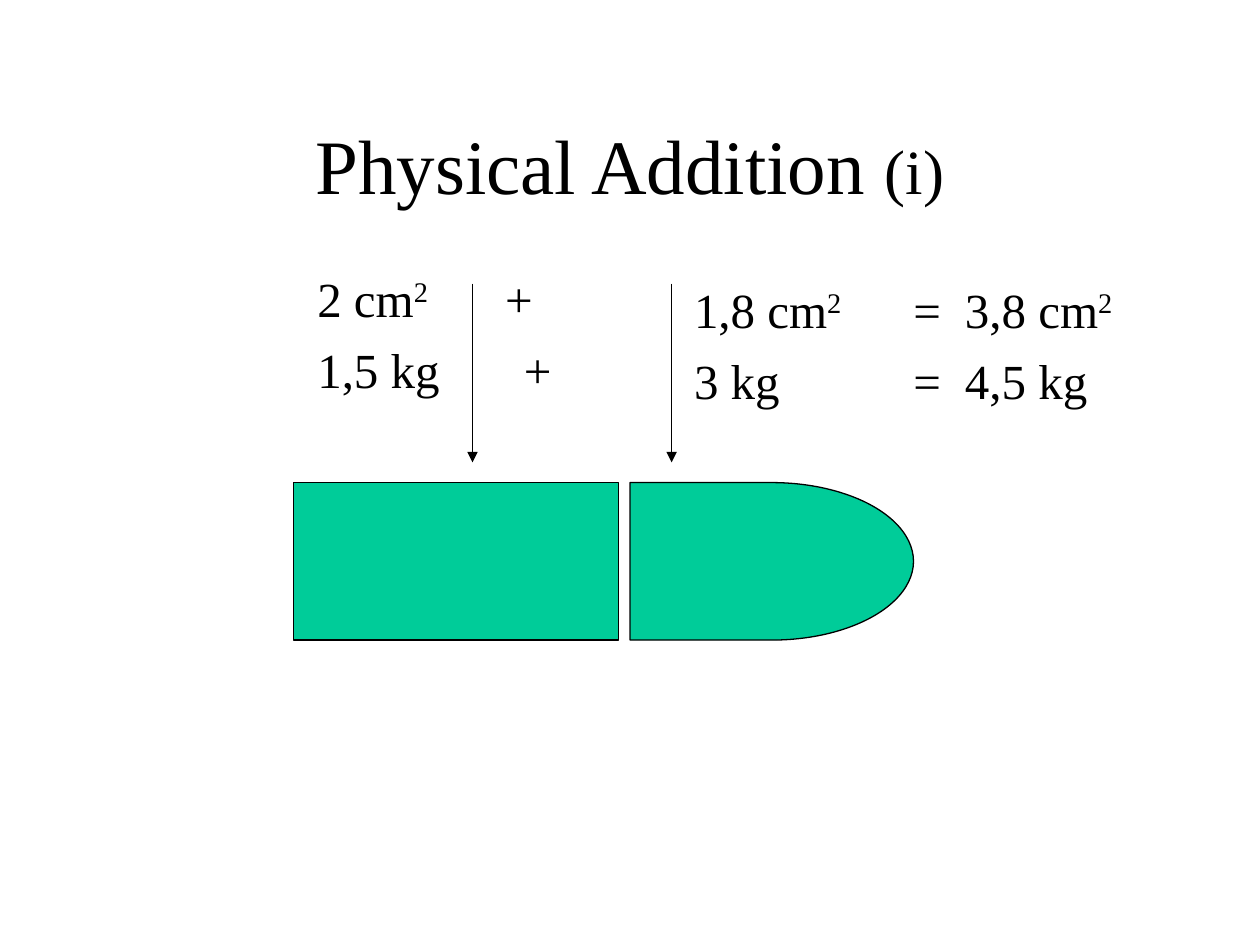
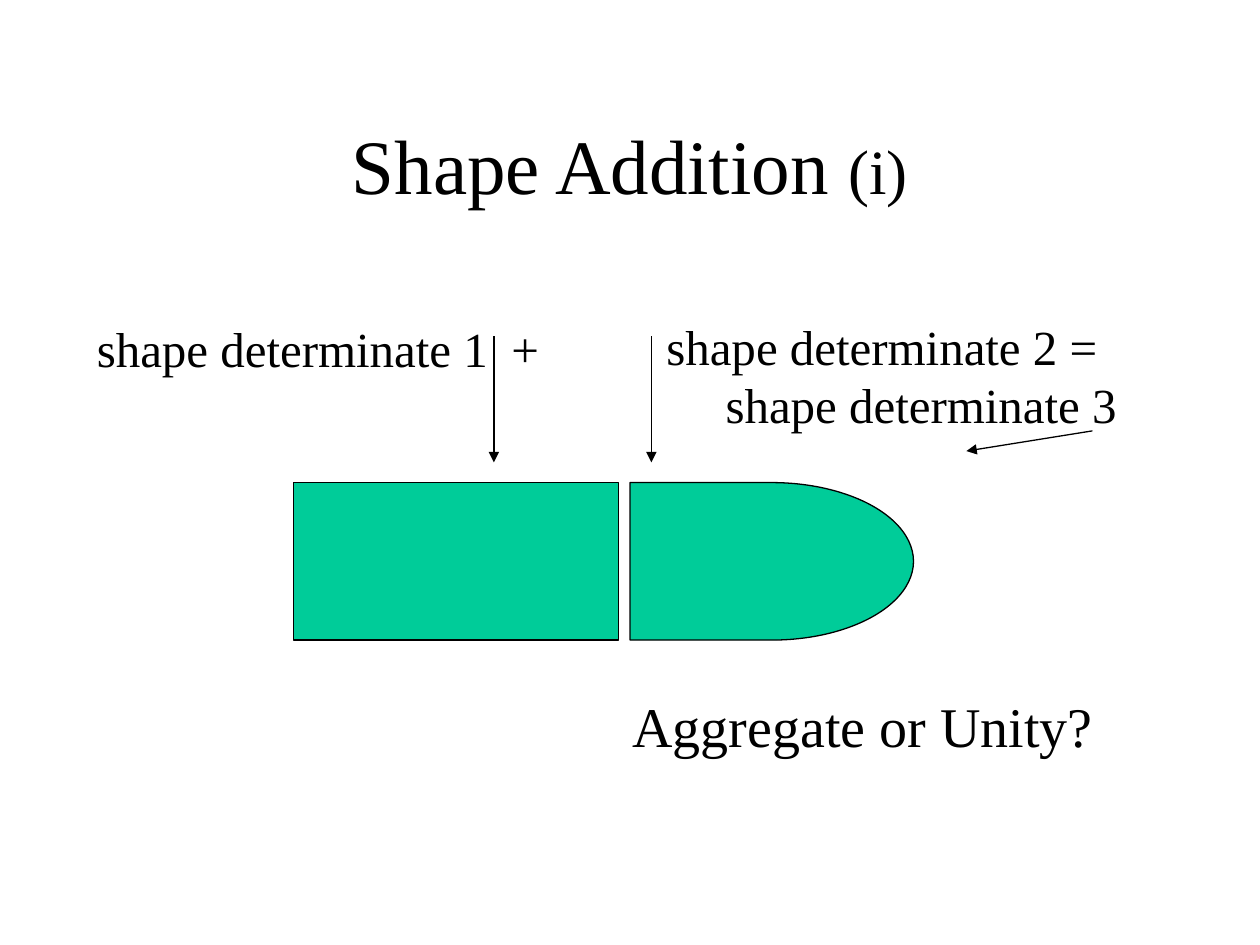
from lxml.etree import SubElement
from pptx import Presentation
from pptx.dml.color import RGBColor
from pptx.enum.shapes import MSO_CONNECTOR, MSO_SHAPE
from pptx.enum.text import MSO_ANCHOR, PP_ALIGN
from pptx.oxml.ns import qn
from pptx.util import Inches, Pt

COLORS = {"ink": "000000", "shape": "00CC99", "page": "FFFFFF"}
FONT = "Times New Roman"
BODY = 28
SUP = {"sup": True}


class Deck:
    """Holds the shared style and the slide being built."""

    def __init__(self):
        self.prs = Presentation()
        self.prs.slide_width, self.prs.slide_height = Inches(10), Inches(7.5)
        self.s = None

    def color(self, name):
        return RGBColor.from_string(COLORS[name])

    def slide(self, title):
        self.s = self.prs.slides.add_slide(self.prs.slide_layouts[6])
        fill = self.s.background.fill
        fill.solid()
        fill.fore_color.rgb = self.color("page")
        runs = [(title + " ", {"size": 44}), ("(i)", {"size": 36})]
        self.text(0.75, 0.67, 8.5, 1.25, [{"runs": runs}],
                  align=PP_ALIGN.CENTER, anchor=MSO_ANCHOR.MIDDLE)

    def text(self, x, y, w, h, paragraphs, align=PP_ALIGN.LEFT, anchor=MSO_ANCHOR.TOP):
        tf = self.s.shapes.add_textbox(Inches(x), Inches(y), Inches(w), Inches(h)).text_frame
        for name, value in {"word_wrap": True, "vertical_anchor": anchor}.items():
            setattr(tf, name, value)
        for i, item in enumerate(paragraphs):
            p = tf.add_paragraph() if i else tf.paragraphs[0]
            self.layout(p, item.get("tabs", ()), item.get("hang", 0))
            p.alignment = align
            if i:
                p.space_before = Pt(7)
            for text, fmt in item["runs"]:
                self.run(p, text, **fmt)

    def layout(self, p, tabs, hang):
        pPr = p._p.get_or_add_pPr()
        if hang:
            pPr.set("marL", str(Inches(hang)))
            pPr.set("indent", str(-Inches(hang)))
        if tabs:
            tab_list = SubElement(pPr, qn("a:tabLst"))
            for pos in tabs:
                SubElement(tab_list, qn("a:tab"), pos=str(Inches(pos)), algn="l")

    def run(self, p, text, size=BODY, sup=False):
        for i, line in enumerate(text.split("\n")):
            if i:
                p.add_line_break()
            r = p.add_run()
            r.text = line
            for name, value in {"name": FONT, "size": Pt(size)}.items():
                setattr(r.font, name, value)
            r.font.color.rgb = self.color("ink")
            if sup:
                r._r.get_or_add_rPr().set("baseline", "30000")

    def outline(self, line):
        line.color.rgb = self.color("ink")
        line.width = Pt(0.75)

    def shape(self, kind, x, y, w, h):
        sp = self.s.shapes.add_shape(kind, Inches(x), Inches(y), Inches(w), Inches(h))
        sp.shadow.inherit = False
        sp.fill.solid()
        sp.fill.fore_color.rgb = self.color("shape")
        self.outline(sp.line)

    def arrow(self, x1, y1, x2, y2):
        c = self.s.shapes.add_connector(MSO_CONNECTOR.STRAIGHT, Inches(x1), Inches(y1),
                                        Inches(x2), Inches(y2))
        self.outline(c.line)
        SubElement(c.line._get_or_add_ln(), qn("a:tailEnd"), type="triangle")
        SubElement(c._element.spPr, qn("a:effectLst"))

    def two_parts(self, arrow_top, arrow_xs):
        """The two adjoining shapes and the arrows that point down at them."""
        self.shape(MSO_SHAPE.FLOWCHART_PROCESS, 2.33, 3.83, 2.58, 1.25)
        self.shape(MSO_SHAPE.FLOWCHART_DELAY, 5, 3.83, 2.25, 1.25)
        for x in arrow_xs:
            self.arrow(x, arrow_top, x, 3.67)


def main():
    d = Deck()

    # Physical addition: areas and masses
    d.slide("Physical Addition")
    d.text(2.42, 2.08, 2.42, 1.2, [
        {"runs": [("2 cm", {}), ("2", SUP), ("\t+", {})], "tabs": [1.49]},
        {"runs": [("1,5 kg\t+", {})], "tabs": [1.64]},
    ])
    sums = [1.74, 2.15]
    d.text(5.41, 2.17, 3.68, 1.2, [
        {"runs": [("1,8 cm", {}), ("2", SUP), ("\t=\t3,8 cm", {}), ("2", SUP)], "tabs": sums},
        {"runs": [("3 kg\t=\t4,5 kg", {})], "tabs": sums},
    ])
    d.two_parts(2.25, [3.75, 5.33])

    # Shape addition: determinates
    d.slide("Shape Addition")
    d.text(0.67, 2.48, 4.17, 0.6, [{"runs": [("shape determinate 1\t+", {})], "tabs": [3.29]}])
    d.text(5.19, 2.46, 3.9, 1.1, [
        {"runs": [("shape determinate 2 =\nshape determinate 3", {})], "hang": 0.47}])
    d.text(4.92, 5.44, 4.17, 0.7, [{"runs": [("Aggregate or Unity?", {"size": 32})]}])
    d.two_parts(2.67, [3.92, 5.17])
    d.arrow(8.67, 3.42, 7.67, 3.58)

    d.prs.save("out.pptx")


if __name__ == "__main__":
    main()
